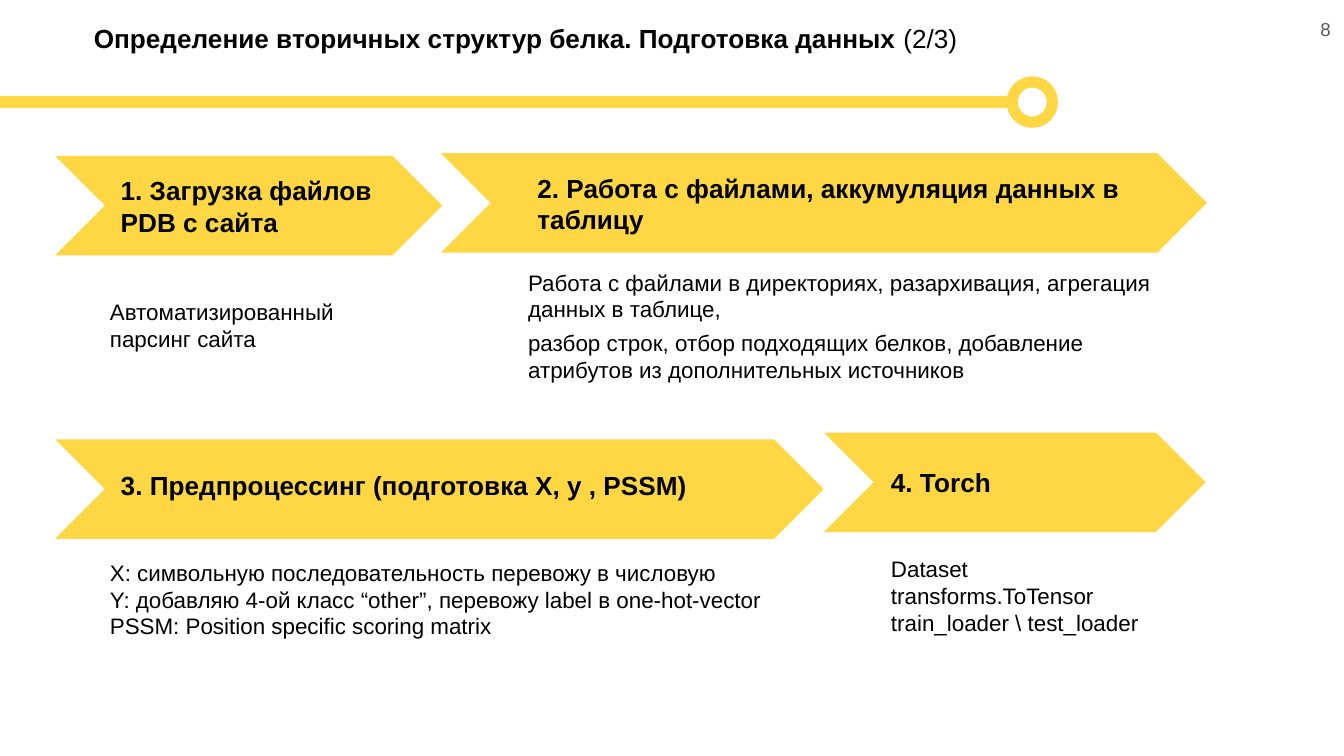
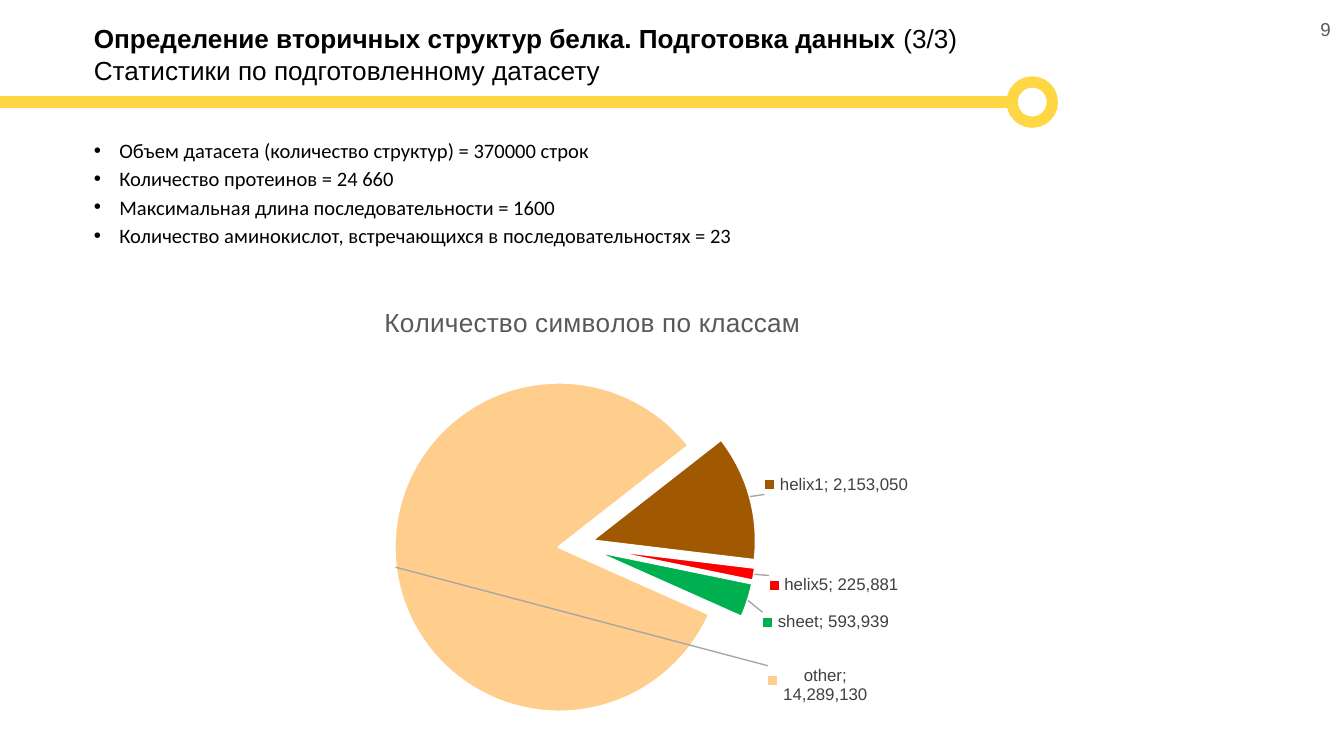
from lxml import etree
from pptx import Presentation
from pptx.chart.data import CategoryChartData
from pptx.dml.color import RGBColor
from pptx.enum.chart import XL_CHART_TYPE as ChartType
from pptx.enum.chart import XL_LABEL_POSITION as LabelPosition
from pptx.enum.shapes import MSO_CONNECTOR as Connector
from pptx.enum.shapes import MSO_SHAPE as Shape
from pptx.enum.text import MSO_ANCHOR as Anchor
from pptx.enum.text import PP_ALIGN as Align
from pptx.oxml import parse_xml
from pptx.oxml.ns import nsdecls, qn
from pptx.util import Pt

YELLOW = RGBColor(0xFF, 0xD7, 0x45)
BLACK = RGBColor(0x00, 0x00, 0x00)
WHITE = RGBColor(0xFF, 0xFF, 0xFF)
GRAY = RGBColor(0x59, 0x59, 0x59)
LABEL_GRAY = RGBColor(0x40, 0x40, 0x40)

TITLE = "Определение вторичных структур белка. Подготовка данных "
CHEVRON_HEIGHT = 53.3

STEPS = [
    ("2. Работа с файлами, аккумуляция данных в таблицу",
     (236.2, 82.1, 410.4), (280.8, 88.6, 334.8), Anchor.TOP),
    ("1. Загрузка файлов PDB с сайта",
     (29.5, 83.5, 207.4), (57.6, 90, 170.6), Anchor.TOP),
    ("4. Torch",
     (441.4, 231.8, 204.5), (470.2, 239.4, 149.8), Anchor.MIDDLE),
    ("3. Предпроцессинг (подготовка X, y , PSSM)",
     (29.5, 235.4, 411.8), (57.6, 247.7, 342), Anchor.TOP),
]

DETAILS = [
    (["Работа с файлами в директориях, разархивация, агрегация данных в таблице,"],
     (275.8, 140.4, 370.8, 36)),
    (["Автоматизированный парсинг сайта"], (51.8, 155.5, 176.4, 37.4)),
    (["разбор строк, отбор подходящих белков, добавление "
      "атрибутов из дополнительных источников"], (275.8, 172.8, 370.8, 36)),
    (["Dataset", "transforms.ToTensor", "train_loader \\ test_loader"],
     (470.2, 294, 151.9, 50)),
    (["X: символьную последовательность перевожу в числовую",
      "Y: добавляю 4-ой класс “other”, перевожу label в one-hot-vector",
      "PSSM: Position specific scoring matrix"],
     (51.8, 296, 372.2, 50)),
]

FACTS = [
    "Объем датасета (количество структур) = 370000 строк",
    "Количество протеинов = 24 660",
    "Максимальная длина последовательности = 1600",
    "Количество аминокислот, встречающихся в последовательностях = 23",
]

CLASSES = [
    ("helix1", 2153050, RGBColor(0xA0, 0x59, 0x00), (0.01, 0)),
    ("helix5", 225881, RGBColor(0xFF, 0x00, 0x00), (0.01, 0)),
    ("sheet", 593939, RGBColor(0x00, 0xB0, 0x50), (0.01, 0.02)),
    ("other", 14289130, RGBColor(0xFF, 0xCD, 0x8C), (0.7, 0.21)),
]


def format_font(font, size, color=BLACK, name="Arial", bold=False):
    font.name = name
    font.size = Pt(size)
    font.bold = bold
    font.color.rgb = color


def add_text(slide, paragraphs, box, size=14, color=BLACK, font="Arial", bold=False,
             align=Align.LEFT, anchor=Anchor.TOP, spacing=None, bullet_indent=None):
    shape = slide.shapes.add_textbox(*map(Pt, box))
    frame = shape.text_frame
    frame.word_wrap = True
    frame.vertical_anchor = anchor
    for index, content in enumerate(paragraphs):
        paragraph = frame.paragraphs[0] if index == 0 else frame.add_paragraph()
        paragraph.alignment = align
        paragraph.line_spacing = spacing
        runs = [(content, bold)] if isinstance(content, str) else content
        for text, run_bold in runs:
            run = paragraph.add_run()
            run.text = text
            format_font(run.font, size, color, font, run_bold)
        if bullet_indent:
            add_bullet(paragraph, bullet_indent)
    return shape


def add_bullet(paragraph, indent):
    properties = paragraph._p.get_or_add_pPr()
    properties.set("marL", str(Pt(indent)))
    properties.set("indent", str(-Pt(indent)))
    etree.SubElement(properties, qn("a:buFont")).set("typeface", "Arial")
    etree.SubElement(properties, qn("a:buChar")).set("char", "•")


def add_chevron(slide, left, top, width):
    shape = slide.shapes.add_shape(Shape.CHEVRON, Pt(left), Pt(top), Pt(width),
                                   Pt(CHEVRON_HEIGHT))
    shape.adjustments[0] = 0.5
    shape.shadow.inherit = False
    shape.fill.solid()
    shape.fill.fore_color.rgb = YELLOW
    shape.line.fill.background()


def add_rule(slide):
    rule = slide.shapes.add_connector(Connector.STRAIGHT, Pt(-2), Pt(54.7),
                                      Pt(542.2), Pt(54.7))
    etree.SubElement(rule._element.spPr, qn("a:effectLst"))
    ring = slide.shapes.add_shape(Shape.OVAL, Pt(542.2), Pt(43.9), Pt(21.6), Pt(21.6))
    ring.shadow.inherit = False
    ring.fill.background()
    for shape in (rule, ring):
        shape.line.color.rgb = YELLOW
        shape.line.width = Pt(6)


def add_base_slide(presentation, part, number, subtitle=None):
    slide = presentation.slides.add_slide(presentation.slide_layouts[6])
    add_rule(slide)
    lines = [[(TITLE, True), (part, False)]]
    if subtitle:
        lines.append(subtitle)
    add_text(slide, lines, (43.2, 8.6, 676.8, 28.8))
    add_text(slide, [number], (676.8, 0, 43.2, 31), size=10, color=GRAY,
             align=Align.RIGHT, anchor=Anchor.MIDDLE)
    return slide


def set_plot_layout(chart, left, top, width, height):
    plot_area = chart._chartSpace.chart.plotArea
    for old in plot_area.findall(qn("c:layout")):
        plot_area.remove(old)
    plot_area.insert(0, parse_xml(
        f'<c:layout {nsdecls("c")}><c:manualLayout><c:layoutTarget val="inner"/>'
        '<c:xMode val="edge"/><c:yMode val="edge"/>'
        f'<c:x val="{left}"/><c:y val="{top}"/><c:w val="{width}"/><c:h val="{height}"/>'
        '</c:manualLayout></c:layout>'))


def make_label(index, shift):
    return parse_xml(
        f'<c:dLbl {nsdecls("c")}><c:idx val="{index}"/><c:layout><c:manualLayout>'
        f'<c:x val="{shift[0]}"/><c:y val="{shift[1]}"/></c:manualLayout></c:layout>'
        '<c:dLblPos val="outEnd"/><c:showLegendKey val="1"/><c:showVal val="1"/>'
        '<c:showCatName val="1"/><c:showSerName val="0"/><c:showPercent val="0"/>'
        '<c:showBubbleSize val="0"/><c:separator>; </c:separator></c:dLbl>')


def label_slices(series):
    labels = series.data_labels
    format_font(labels.font, 9, LABEL_GRAY)
    labels.number_format = "#,##0"
    labels.number_format_is_linked = False
    labels.position = LabelPosition.OUTSIDE_END
    labels.show_legend_key = True
    labels.show_value = True
    labels.show_category_name = True
    element = labels._element
    for index, (_, _, _, shift) in enumerate(CLASSES):
        element.insert(index, make_label(index, shift))
    element.find(qn("c:showBubbleSize")).addnext(
        parse_xml(f'<c:separator {nsdecls("c")}>; </c:separator>'))
    element.append(parse_xml(
        f'<c:leaderLines {nsdecls("c", "a")}><c:spPr><a:ln w="9525"><a:solidFill>'
        '<a:srgbClr val="A6A6A6"/></a:solidFill></a:ln></c:spPr></c:leaderLines>'))


def add_class_pie(slide):
    data = CategoryChartData(number_format="#,##0")
    data.categories = [name for name, _, _, _ in CLASSES]
    data.add_series("Series 1", [count for _, count, _, _ in CLASSES])
    chart = slide.shapes.add_chart(ChartType.PIE, Pt(133.9), Pt(152.6), Pt(367.2),
                                   Pt(249.1), data).chart
    format_font(chart.font, 10)
    chart.has_legend = False
    chart.has_title = True
    title = chart.chart_title.text_frame
    title.text = "Количество символов по классам"
    format_font(title.paragraphs[0].runs[0].font, 14, GRAY)
    set_plot_layout(chart, 0.21, 0.17, 0.53, 0.78)

    plot = chart.plots[0]
    plot.vary_by_categories = True
    series = plot.series[0]
    for index, (_, _, color, _) in enumerate(CLASSES):
        slice_format = series.points[index].format
        slice_format.fill.solid()
        slice_format.fill.fore_color.rgb = color
        slice_format.line.color.rgb = WHITE
        slice_format.line.width = Pt(1.5)
    series._element.find(qn("c:dPt")).addprevious(
        parse_xml(f'<c:explosion {nsdecls("c")} val="10"/>'))
    label_slices(series)
    pie = plot._element
    for old in pie.findall(qn("c:firstSliceAng")):
        pie.remove(old)
    pie.append(parse_xml(f'<c:firstSliceAng {nsdecls("c")} val="52"/>'))


def add_pipeline_slide(presentation):
    slide = add_base_slide(presentation, "(2/3)", "8")
    for heading, chevron, (left, top, width), anchor in STEPS:
        add_chevron(slide, *chevron)
        add_text(slide, [heading], (left, top, width, 38.2), bold=True, anchor=anchor)
    for lines, box in DETAILS:
        add_text(slide, lines, box, size=12, anchor=Anchor.MIDDLE)


def add_statistics_slide(presentation):
    slide = add_base_slide(presentation, "(3/3)", "9",
                           "Статистики по подготовленному датасету")
    add_text(slide, FACTS, (43.2, 68.4, 496.8, 84.2), size=11, font="Calibri",
             align=Align.JUSTIFY, spacing=1.15, bullet_indent=13.7)
    add_class_pie(slide)


def main():
    presentation = Presentation()
    presentation.slide_width = Pt(720)
    presentation.slide_height = Pt(405)
    add_pipeline_slide(presentation)
    add_statistics_slide(presentation)
    presentation.save("out.pptx")


if __name__ == "__main__":
    main()
